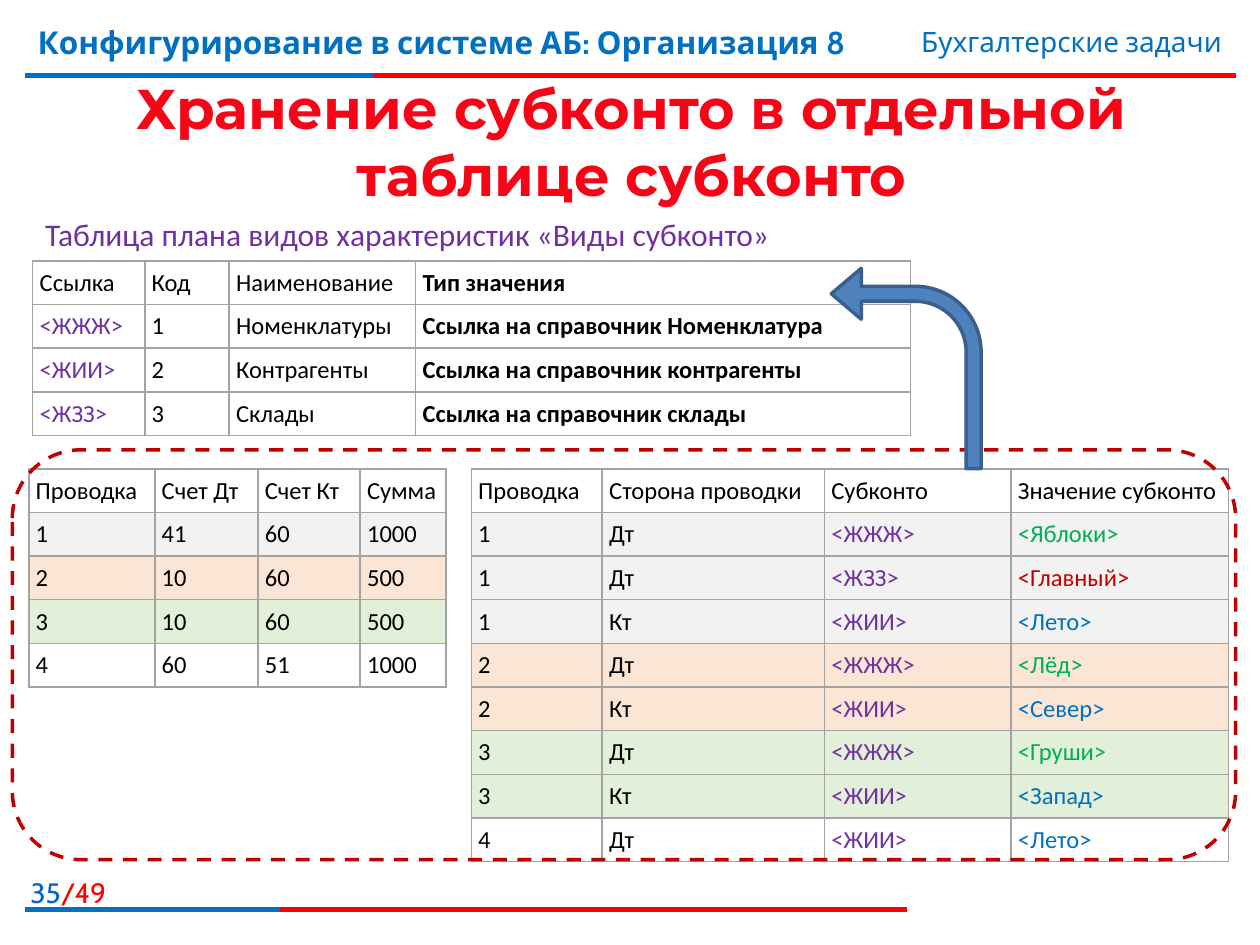
"""Build the slide about storing subconto in a separate table."""
from lxml import etree
from pptx import Presentation
from pptx.dml.color import RGBColor
from pptx.enum.dml import MSO_LINE
from pptx.enum.shapes import MSO_CONNECTOR, MSO_SHAPE
from pptx.enum.text import MSO_ANCHOR, MSO_AUTO_SIZE, PP_ALIGN
from pptx.oxml import parse_xml
from pptx.oxml.ns import qn
from pptx.util import Cm, Pt

LEFT, CENTER, RIGHT = PP_ALIGN.LEFT, PP_ALIGN.CENTER, PP_ALIGN.RIGHT
MIDDLE, NO_FIT = MSO_ANCHOR.MIDDLE, MSO_AUTO_SIZE.NONE
STRAIGHT, DASH = MSO_CONNECTOR.STRAIGHT, MSO_LINE.DASH
ROUND_RECT, BENT_ARROW = MSO_SHAPE.ROUNDED_RECTANGLE, MSO_SHAPE.BENT_ARROW
NS = "http://schemas.openxmlformats.org/drawingml/2006/main"
BLUE, RED, PURPLE, GREEN, DARK_RED = "0070C0", "FF0000", "7030A0", "00B050", "C00000"
GREY_ROW, ORANGE_ROW, GREEN_ROW = "F2F2F2", "FBE5D5", "E2EFD9"


def rgb(value):
    """Turn a hex string into a colour."""
    return RGBColor.from_string(value)


def add_run(p, text, size, name, color, bold=False):
    """Append a formatted run to a paragraph."""
    r = p.add_run()
    r.text = text
    r.font.size = Pt(size)
    r.font.name = name
    r.font.bold = bold
    r.font.color.rgb = rgb(color)
    return r


prs = Presentation()
prs.slide_width, prs.slide_height = Cm(25.4), Cm(19.05)
s = prs.slides.add_slide(prs.slide_layouts[5])

rules = [(1.52, 24.92, RED), (1.52, 7.52, BLUE), (18.34, 18.29, RED), (18.34, 5.64, BLUE)]
for y, right, color in rules:
    ln = s.shapes.add_connector(STRAIGHT, Cm(0.51), Cm(y), Cm(right), Cm(y))
    ln.line.color.rgb = rgb(color)
    ln.line.width = Pt(3)
    etree.SubElement(ln._element.spPr, qn("a:effectLst"))

title = s.shapes.title
title.left, title.top, title.width, title.height = Cm(0.53), Cm(1.6), Cm(24.41), Cm(2.46)
tf = title.text_frame
tf.auto_size, tf.vertical_anchor, tf.word_wrap = NO_FIT, MIDDLE, True
p = tf.paragraphs[0]
p.alignment = CENTER
r = add_run(p, "Хранение субконто в отдельной таблице субконто", 32, "Montserrat", "F50516", True)
r.font.fill.gradient()
r.font.fill.gradient_angle = 270
for stop, (position, color) in zip(r.font.fill.gradient_stops, [(0.55, "F50516"), (0.86, DARK_RED)]):
    stop.position = position
    stop.color.rgb = rgb(color)
r.font._element.insert(0, parse_xml(
    f'<a:ln xmlns:a="{NS}" w="9525"><a:solidFill><a:srgbClr val="FFFFFF"/></a:solidFill></a:ln>'))

labels = [
    (-0.25, 17.53, 2.64, 0.81, RIGHT, 16, "Cabin", False, [("35", "0066CC"), ("/49", RED)]),
    (0.51, 0.33, 18.8, 1.57, LEFT, 18, "Cabin", True,
     [("Конфигурирование в системе АБ: Организация 8", BLUE)]),
    (15.09, 0.38, 9.8, 0.94, RIGHT, 16, "Cabin", False, [("Бухгалтерские задачи", BLUE)]),
    (0.66, 4.22, 16.13, 1.02, LEFT, 18, "Calibri", False,
     [("Таблица плана видов характеристик «Виды субконто»", PURPLE)]),
]
for x, y, w, h, align, size, name, bold, runs in labels:
    tf = s.shapes.add_textbox(Cm(x), Cm(y), Cm(w), Cm(h)).text_frame
    tf.word_wrap = True
    p = tf.paragraphs[0]
    p.alignment = align
    for text, color in runs:
        add_run(p, text, size, name, color, bold)

text_colors = {
    "<ЖЖЖ>": PURPLE, "<ЖИИ>": PURPLE, "<ЖЗЗ>": PURPLE,
    "<Яблоки>": GREEN, "<Лёд>": GREEN, "<Груши>": GREEN, "<Главный>": DARK_RED,
    "<Лето>": BLUE, "<Север>": BLUE, "<Запад>": BLUE,
}
row_fills = {"1": GREY_ROW, "2": ORANGE_ROW, "3": GREEN_ROW}
entries = [
    ["Проводка", "Счет Дт", "Счет Кт", "Сумма"],
    ["1", "41", "60", "1000"],
    ["2", "10", "60", "500"],
    ["3", "10", "60", "500"],
    ["4", "60", "51", "1000"],
]
subconto = [
    ["Проводка", "Сторона проводки", "Субконто", "Значение субконто"],
    ["1", "Дт", "<ЖЖЖ>", "<Яблоки>"],
    ["1", "Дт", "<ЖЗЗ>", "<Главный>"],
    ["1", "Кт", "<ЖИИ>", "<Лето>"],
    ["2", "Дт", "<ЖЖЖ>", "<Лёд>"],
    ["2", "Кт", "<ЖИИ>", "<Север>"],
    ["3", "Дт", "<ЖЖЖ>", "<Груши>"],
    ["3", "Кт", "<ЖИИ>", "<Запад>"],
    ["4", "Дт", "<ЖИИ>", "<Лето>"],
]
kinds = [
    ["Ссылка", "Код", "Наименование", "Тип значения"],
    ["<ЖЖЖ>", "1", "Номенклатуры", "Ссылка на справочник Номенклатура"],
    ["<ЖИИ>", "2", "Контрагенты", "Ссылка на справочник контрагенты"],
    ["<ЖЗЗ>", "3", "Склады", "Ссылка на справочник склады"],
]
tables = [
    (0.58, 9.45, [2.54, 2.08, 2.06, 1.73], entries, None),
    (9.5, 9.45, [2.64, 4.48, 3.76, 4.38], subconto, None),
    (0.66, 5.26, [2.26, 1.7, 3.76, 9.98], kinds, 3),
]
row_height = 0.88
for x, y, widths, rows, bold_col in tables:
    frame = s.shapes.add_table(len(rows), len(widths), Cm(x), Cm(y),
                               Cm(sum(widths)), Cm(row_height * len(rows)))
    table = frame.table
    table.first_row = table.horz_banding = False
    for column, width in zip(table.columns, widths):
        column.width = Cm(width)
    for i, row in enumerate(rows):
        table.rows[i].height = Cm(row_height)
        for j, text in enumerate(row):
            cell = table.cell(i, j)
            cell.margin_left = cell.margin_right = Cm(0.14)
            cell.margin_top = cell.margin_bottom = Cm(0.14)
            add_run(cell.text_frame.paragraphs[0], text, 14, "Calibri",
                    text_colors.get(text, "000000"), j == bold_col)
            for side in ("lnL", "lnR", "lnT", "lnB"):
                cell._tc.get_or_add_tcPr().append(parse_xml(
                    f'<a:{side} xmlns:a="{NS}" w="12700"><a:solidFill>'
                    f'<a:srgbClr val="A3A3A3"/></a:solidFill></a:{side}>'))
            if row[0] in row_fills:
                cell.fill.solid()
                cell.fill.fore_color.rgb = rgb(row_fills[row[0]])
            else:
                cell.fill.background()

sp = s.shapes.add_shape(ROUND_RECT, Cm(0.25), Cm(9.07), Cm(24.66), Cm(8.26))
sp.shadow.inherit = False
sp.fill.background()
sp.line.color.rgb = rgb(DARK_RED)
sp.line.width = Pt(2)
sp.line.dash_style = DASH

sp = s.shapes.add_shape(BENT_ARROW, Cm(16.76), Cm(5.41), Cm(3.02), Cm(4.04))
sp.shadow.inherit = False
for i, value in enumerate([0.1, 0.17, 0.2, 0.44]):
    sp.adjustments[i] = value
sp._element.spPr.find(qn("a:xfrm")).set("flipH", "1")
sp.fill.solid()
sp.fill.fore_color.rgb = rgb("4F81BD")
sp.line.color.rgb = rgb("3A5F8C")
sp.line.width = Pt(2)

prs.save("out.pptx")
